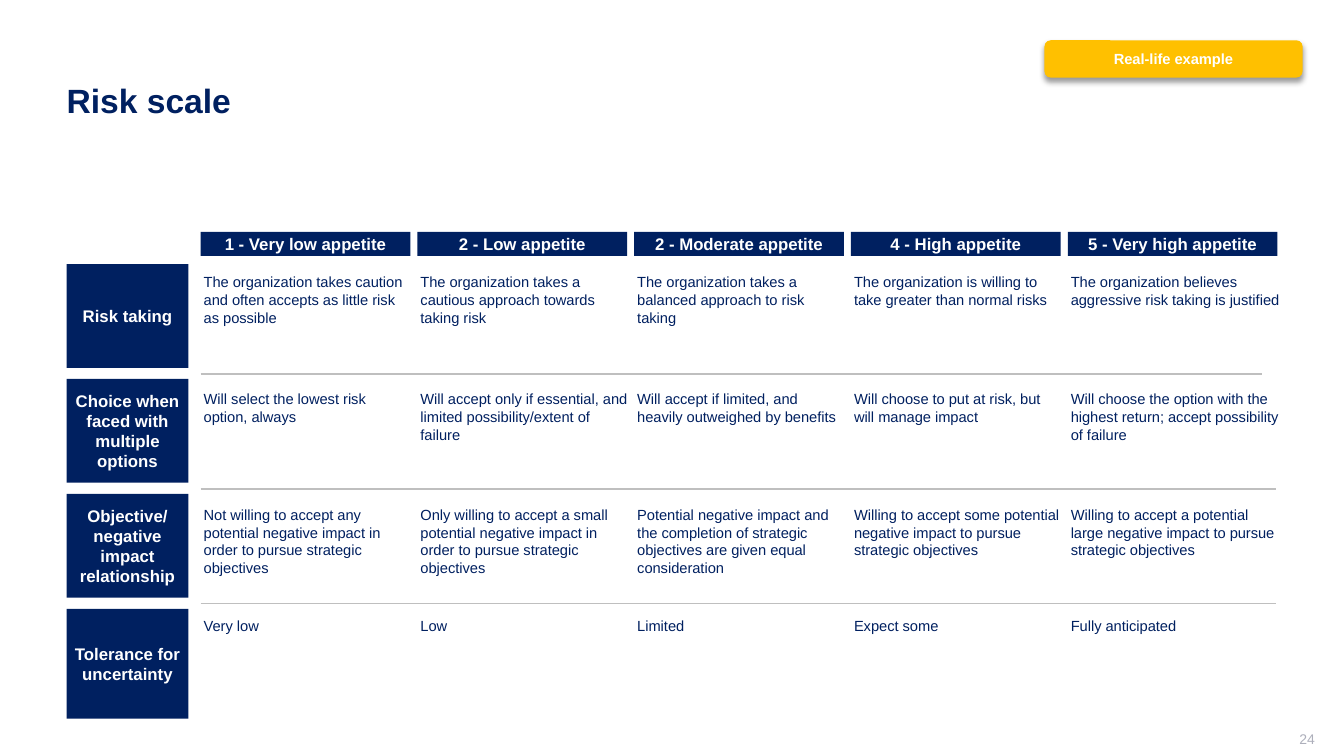
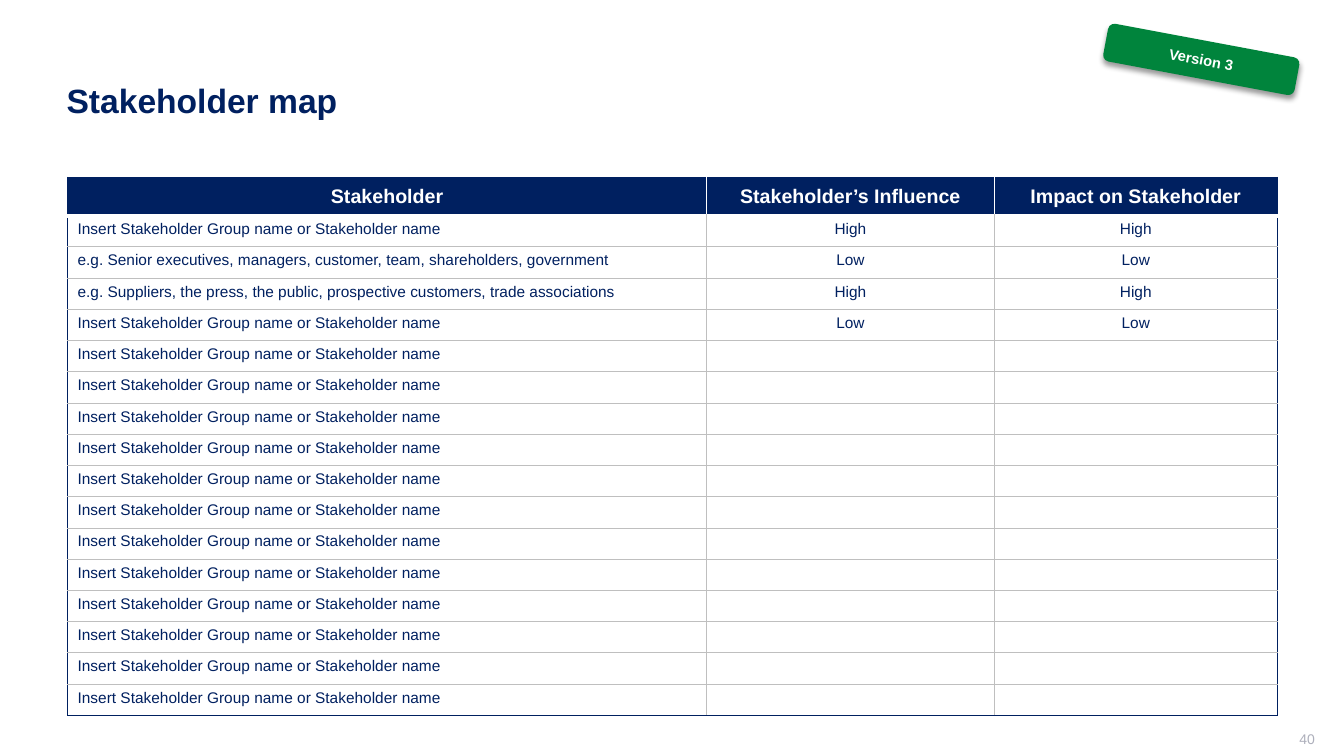
from lxml import etree
from pptx import Presentation
from pptx.dml.color import RGBColor
from pptx.enum.shapes import MSO_CONNECTOR, MSO_SHAPE
from pptx.enum.text import MSO_ANCHOR, PP_ALIGN
from pptx.oxml.ns import qn
from pptx.util import Inches, Pt

RECT, ROUNDED = MSO_SHAPE.RECTANGLE, MSO_SHAPE.ROUNDED_RECTANGLE
STRAIGHT = MSO_CONNECTOR.STRAIGHT
TOP, MIDDLE = MSO_ANCHOR.TOP, MSO_ANCHOR.MIDDLE
LEFT, CENTER, RIGHT = PP_ALIGN.LEFT, PP_ALIGN.CENTER, PP_ALIGN.RIGHT

FONT = "Arial"
NAVY, WHITE, GREY, PAGE_GREY = "002060", "FFFFFF", "BFBFBF", "ADAFBB"
AMBER, GREEN = "FFC000", "00843C"

# Risk scale content
APPETITES = ["1 - Very low appetite", "2 - Low appetite", "2 - Moderate appetite",
             "4 - High appetite", "5 - Very high appetite"]
# Criterion, top of its texts, height of its heading, right end of the rule below it
CRITERIA = [
    ("Risk taking", 2.71, 1.03, 12.52, [
        "The organization takes caution and often accepts as little risk as possible",
        "The organization takes a cautious approach towards taking risk",
        "The organization takes a balanced approach to risk taking",
        "The organization is willing to take greater than normal risks",
        "The organization believes aggressive risk taking is justified"]),
    ("Choice when faced with multiple options", 3.87, 1.03, 12.66, [
        "Will select the lowest risk option, always",
        "Will accept only if essential, and limited possibility/extent of failure",
        "Will accept if limited, and heavily outweighed by benefits",
        "Will choose to put at risk, but will manage impact",
        "Will choose the option with the highest return; accept possibility of failure"]),
    ("Objective/negative impact relationship", 5.02, 1.03, 12.66, [
        "Not willing to accept any potential negative impact in order to pursue "
        "strategic objectives",
        "Only willing to accept a small potential negative impact in order to pursue "
        "strategic objectives",
        "Potential negative impact and the completion of strategic objectives are "
        "given equal consideration",
        "Willing to accept some potential negative impact to pursue strategic objectives",
        "Willing to accept a potential large negative impact to pursue strategic "
        "objectives"]),
    ("Tolerance for uncertainty", 6.12, 1.09, None, [
        "Very low", "Low", "Limited", "Expect some", "Fully anticipated"]),
]
SCALE_LEFT, SCALE_PITCH, SCALE_WIDTH = 1.99, 2.15, 2.08
CRITERIA_TOP, CRITERIA_PITCH = 2.62, 1.14

# Stakeholder map content
GROUP_PROMPT = "Insert Stakeholder Group name or Stakeholder name"
STAKEHOLDERS = [
    ("Stakeholder", "Stakeholder’s Influence", "Impact on Stakeholder"),
    (GROUP_PROMPT, "High", "High"),
    ("e.g. Senior executives, managers, customer, team, shareholders, government",
     "Low", "Low"),
    ("e.g. Suppliers, the press, the public, prospective customers, trade associations",
     "High", "High"),
    (GROUP_PROMPT, "Low", "Low"),
] + [(GROUP_PROMPT, "", "")] * 12
MAP_WIDTHS = [6.34, 2.85, 2.81]
HEADER_HEIGHT, ROW_HEIGHT = 0.38, 0.31


def rgb(hex_colour):
    return RGBColor.from_string(hex_colour)


def box(left, top, width, height):
    return [Inches(value) for value in (left, top, width, height)]


def write(frame, words, size, colour, bold=False, align=LEFT, anchor=MIDDLE,
          margins=None, wrap=True):
    """Put one run of text in a frame; margins are left, top, right, bottom."""
    frame.word_wrap = wrap
    frame.vertical_anchor = anchor
    if margins:
        (frame.margin_left, frame.margin_top,
         frame.margin_right, frame.margin_bottom) = box(*margins)
    paragraph = frame.paragraphs[0]
    paragraph.alignment = align
    run = paragraph.add_run()
    run.text = words
    run.font.name, run.font.size, run.font.bold = FONT, Pt(size), bold
    run.font.color.rgb = rgb(colour)


def add_text(slide, place, words, size, colour, **style):
    write(slide.shapes.add_textbox(*box(*place)).text_frame, words, size, colour, **style)


def add_block(slide, kind, place, fill, words, size, **style):
    block = slide.shapes.add_shape(kind, *box(*place))
    block.shadow.inherit = False
    block.fill.solid()
    block.fill.fore_color.rgb = rgb(fill)
    block.line.fill.background()
    write(block.text_frame, words, size, WHITE, bold=True, align=CENTER, **style)
    return block


def add_badge(slide, place, fill, words, rotation=0):
    """Add a rounded label with a soft shadow below it."""
    badge = add_block(slide, ROUNDED, place, fill, words, 10.5)
    badge.rotation = rotation
    effects = badge._element.spPr.find(qn("a:effectLst"))
    shadow = etree.SubElement(effects, qn("a:outerShdw"), blurRad=str(Pt(4)),
                              dist=str(Pt(3)), dir="5400000", rotWithShape="0")
    black = etree.SubElement(shadow, qn("a:srgbClr"), val="000000")
    etree.SubElement(black, qn("a:alpha"), val="40000")


def add_rule(slide, left, right, top):
    rule = slide.shapes.add_connector(STRAIGHT, Inches(left), Inches(top),
                                      Inches(right), Inches(top))
    rule.line.color.rgb = rgb(GREY)
    rule.line.width = Pt(1)
    etree.SubElement(rule._element.spPr, qn("a:effectLst"))


def add_titled_slide(deck, title, page):
    slide = deck.slides.add_slide(deck.slide_layouts[5])
    heading = slide.shapes.title
    heading.left, heading.top, heading.width, heading.height = box(0.56, 0.4, 12.11, 1.19)
    write(heading.text_frame, title, 24, NAVY, bold=True)
    add_text(slide, (10.04, 7.25, 3, 0.21), page, 10, PAGE_GREY, align=RIGHT,
             margins=(0.1, 0, 0, 0.05))
    return slide


def build_risk_scale(deck):
    slide = add_titled_slide(deck, "Risk scale", "24")
    inset = (0.06,) * 4
    column_lefts = [SCALE_LEFT + i * SCALE_PITCH for i in range(len(APPETITES))]
    for left, appetite in zip(column_lefts, APPETITES):
        add_block(slide, RECT, (left, 2.3, SCALE_WIDTH, 0.24), NAVY, appetite, 12,
                  margins=inset, wrap=False)
    for i, (criterion, text_top, height, rule_end, answers) in enumerate(CRITERIA):
        top = CRITERIA_TOP + i * CRITERIA_PITCH
        add_block(slide, RECT, (0.66, top, 1.21, height), NAVY, criterion, 12,
                  margins=inset)
        for left, answer in zip(column_lefts, answers):
            add_text(slide, (left + 0.03, text_top, SCALE_WIDTH, 0.71), answer, 10.5, NAVY,
                     anchor=TOP, margins=(0, 0, 0, 0))
        if rule_end:
            add_rule(slide, SCALE_LEFT, rule_end, top + 1.09)
    add_badge(slide, (10.36, 0.4, 2.56, 0.37), AMBER, "Real-life example")


def set_borders(cell, row, column):
    """Navy outside, white around the header cells, grey between the others."""
    last_row, last_column = len(STAKEHOLDERS) - 1, len(MAP_WIDTHS) - 1
    outer, inner = (NAVY, 0.75), (GREY, 0.75)
    side = (WHITE, 1) if row == 0 else inner
    under_header = (WHITE, 3)
    edges = {
        "a:lnL": outer if column == 0 else side,
        "a:lnR": outer if column == last_column else side,
        "a:lnT": outer if row == 0 else under_header if row == 1 else inner,
        "a:lnB": under_header if row == 0 else outer if row == last_row else inner,
    }
    properties = cell._tc.get_or_add_tcPr()
    for tag, (colour, width) in edges.items():
        edge = etree.SubElement(properties, qn(tag), w=str(Pt(width)))
        fill = etree.SubElement(edge, qn("a:solidFill"))
        etree.SubElement(fill, qn("a:srgbClr"), val=colour)


def fill_cell(cell, words, row, column):
    header = row == 0
    set_borders(cell, row, column)
    cell.fill.solid()
    cell.fill.fore_color.rgb = rgb(NAVY if header else WHITE)
    cell.vertical_anchor = MIDDLE if header else TOP
    if words:
        write(cell.text_frame, words, 14 if header else 11, WHITE if header else NAVY,
              bold=header, align=CENTER if header or column else LEFT,
              anchor=MIDDLE if header else TOP)
    else:
        # Keeps an empty row from growing to the default text size
        etree.SubElement(cell.text_frame.paragraphs[0]._p, qn("a:endParaRPr"), sz="1100")


def build_stakeholder_map(deck):
    slide = add_titled_slide(deck, "Stakeholder map", "40")
    heights = [HEADER_HEIGHT] + [ROW_HEIGHT] * (len(STAKEHOLDERS) - 1)
    place = box(0.67, 1.76, sum(MAP_WIDTHS), sum(heights))
    table = slide.shapes.add_table(len(heights), len(MAP_WIDTHS), *place).table
    table.horz_banding = table.first_row = False
    for column, width in zip(table.columns, MAP_WIDTHS):
        column.width = Inches(width)
    for i, (stakeholder, height) in enumerate(zip(STAKEHOLDERS, heights)):
        table.rows[i].height = Inches(height)
        for j, words in enumerate(stakeholder):
            fill_cell(table.cell(i, j), words, i, j)
    add_badge(slide, (10.95, 0.4, 1.93, 0.38), GREEN, "Version 3", rotation=10.6)


def main():
    deck = Presentation()
    deck.slide_width, deck.slide_height = Inches(13.33), Inches(7.5)
    build_risk_scale(deck)
    build_stakeholder_map(deck)
    deck.save("out.pptx")


if __name__ == "__main__":
    main()
